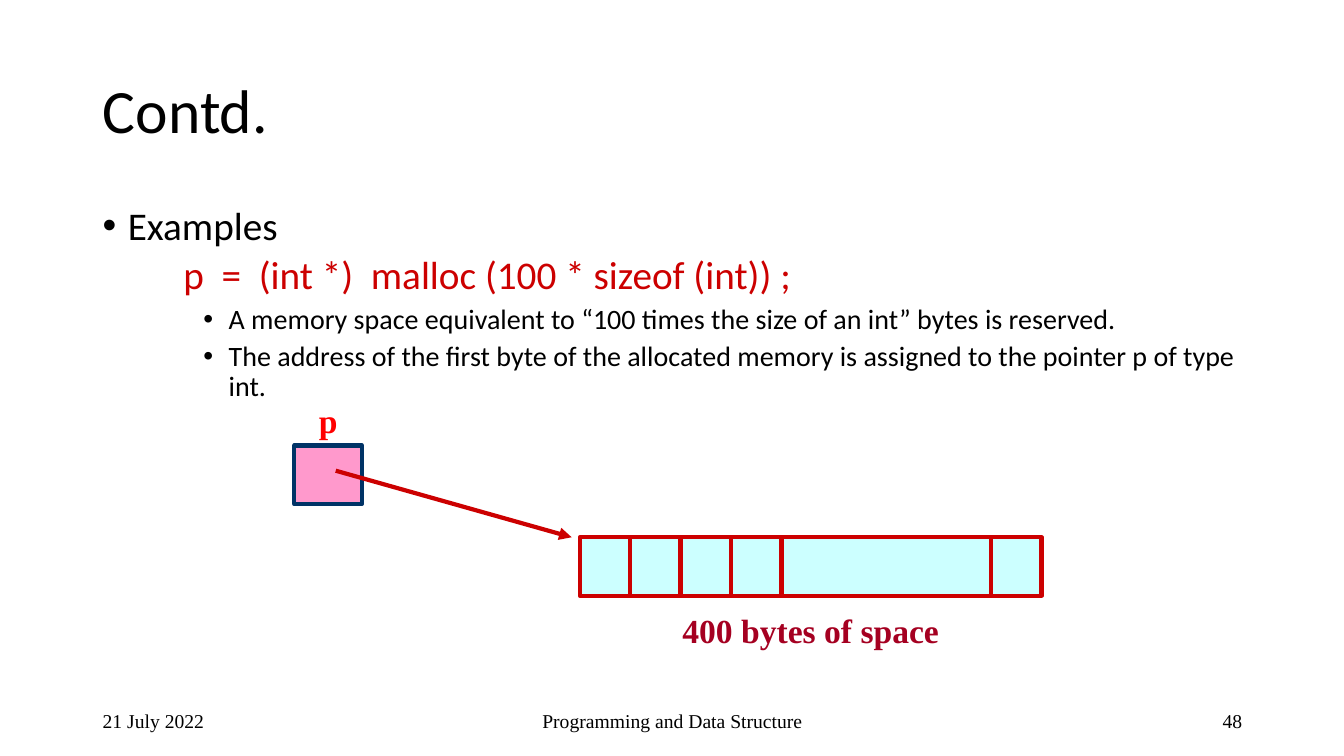
"""Build the slide that explains a malloc example with a pointer diagram."""
import pptx
import pptx.util
import pptx.dml.color
import pptx.enum.shapes
import pptx.enum.text
import pptx.oxml.ns
from lxml import etree

Inches = pptx.util.Inches
Pt = pptx.util.Pt
RGBColor = pptx.dml.color.RGBColor
ALIGN = pptx.enum.text.PP_ALIGN
ANCHOR = pptx.enum.text.MSO_ANCHOR
qn = pptx.oxml.ns.qn

BLACK = RGBColor(0x00, 0x00, 0x00)
RED = RGBColor(0xCC, 0x00, 0x00)
BRIGHT_RED = RGBColor(0xFF, 0x00, 0x00)
MAROON = RGBColor(0xA5, 0x00, 0x21)
CYAN = RGBColor(0xCC, 0xFF, 0xFF)
PINK = RGBColor(0xFF, 0x99, 0xCC)
NAVY = RGBColor(0x00, 0x33, 0x66)
SERIF = "Times New Roman"

deck = pptx.Presentation()
deck.slide_width = Inches(13.33)
deck.slide_height = Inches(7.5)
slide = deck.slides.add_slide(deck.slide_layouts[5])
shapes = slide.shapes


def write(paragraph, text, size=14, font="Calibri", color=BLACK, bold=False,
          align=ALIGN.LEFT, line_spacing=1.0, before=0, margin=0, bullet=False):
    paragraph.alignment = align
    paragraph.line_spacing = line_spacing
    paragraph.space_before = Pt(before)
    properties = paragraph._p.get_or_add_pPr()
    properties.set("marL", str(Inches(margin)))
    properties.set("indent", str(Inches(-0.25 if bullet else 0)))
    if bullet:
        etree.SubElement(properties, qn("a:buFont")).set("typeface", "Arial")
        etree.SubElement(properties, qn("a:buChar")).set("char", "•")
    else:
        etree.SubElement(properties, qn("a:buNone"))
    run = paragraph.add_run()
    run.text = text
    run.font.size = Pt(size)
    run.font.name = font
    run.font.bold = bold
    run.font.color.rgb = color


def add_line(x1, y1, x2, y2):
    line = shapes.add_connector(pptx.enum.shapes.MSO_CONNECTOR.STRAIGHT,
                                Inches(x1), Inches(y1), Inches(x2), Inches(y2))
    line.line.color.rgb = RED
    line.line.width = Pt(3)
    etree.SubElement(line._element.spPr, qn("a:effectLst"))
    return line


title = shapes.title
title.left, title.top = Inches(0.92), Inches(0.4)
title.width, title.height = Inches(11.5), Inches(1.45)
title.text_frame.vertical_anchor = ANCHOR.MIDDLE
write(title.text_frame.paragraphs[0], "Contd.", size=44, line_spacing=0.9)

examples = shapes.add_textbox(Inches(0.92), Inches(2), Inches(11.5), Inches(4.76)).text_frame
examples.word_wrap = True
for index, (text, style) in enumerate([
    ("Examples", dict(size=28, margin=0.25, bullet=True)),
    ("p  =  (int *)  malloc (100 * sizeof (int)) ;",
     dict(size=28, margin=0.8, before=5, color=RED)),
    ("A memory space equivalent to “100 times the size of an int” bytes is reserved.",
     dict(size=20, margin=1.25, before=5, bullet=True)),
    ("The address of the first byte of the allocated memory is assigned to the pointer p of type int.",
     dict(size=20, margin=1.25, before=5, bullet=True)),
]):
    paragraph = examples.add_paragraph() if index else examples.paragraphs[0]
    write(paragraph, text, line_spacing=0.9, **style)

for left, top, width, height, fill, outline in [
    (5.75, 5.33, 4.58, 0.58, CYAN, RED),
    (2.92, 4.42, 0.67, 0.58, PINK, NAVY),
]:
    block = shapes.add_shape(pptx.enum.shapes.MSO_SHAPE.RECTANGLE,
                             Inches(left), Inches(top), Inches(width), Inches(height))
    block.shadow.inherit = False
    block.fill.solid()
    block.fill.fore_color.rgb = fill
    block.line.color.rgb = outline
    block.line.width = Pt(3)

for divider_x in (6.25, 6.75, 7.25, 7.75, 9.83):
    add_line(divider_x, 5.33, divider_x, 5.92)

pointer_arrow = add_line(3.33, 4.67, 5.67, 5.33)
etree.SubElement(pointer_arrow.line._get_or_add_ln(), qn("a:tailEnd")).set("type", "triangle")

for text, left, top, width, height, anchor, style in [
    ("p", 2.92, 3.92, 0.67, 0.5, ANCHOR.TOP,
     dict(size=24, color=BRIGHT_RED, bold=True, align=ALIGN.CENTER)),
    ("400 bytes of space", 6, 6, 4.08, 0.5, ANCHOR.TOP,
     dict(size=24, color=MAROON, bold=True, align=ALIGN.CENTER)),
    ("21 July 2022", 0.92, 6.95, 3, 0.4, ANCHOR.MIDDLE, dict()),
    ("Programming and Data Structure", 4.42, 6.95, 4.5, 0.4, ANCHOR.MIDDLE,
     dict(align=ALIGN.CENTER)),
    ("48", 9.42, 6.95, 3, 0.4, ANCHOR.MIDDLE, dict(align=ALIGN.RIGHT)),
]:
    label = shapes.add_textbox(Inches(left), Inches(top), Inches(width), Inches(height)).text_frame
    label.word_wrap = True
    label.vertical_anchor = anchor
    write(label.paragraphs[0], text, font=SERIF, **style)

deck.save("out.pptx")
